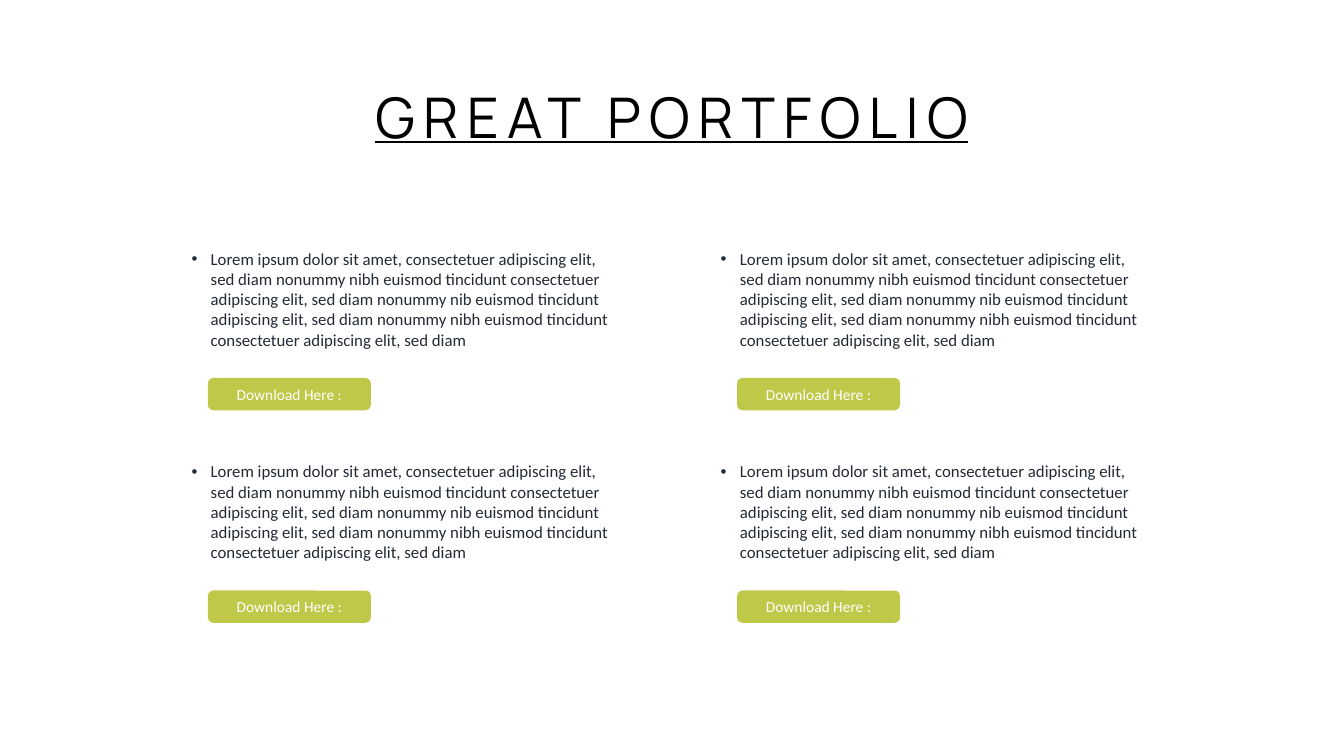
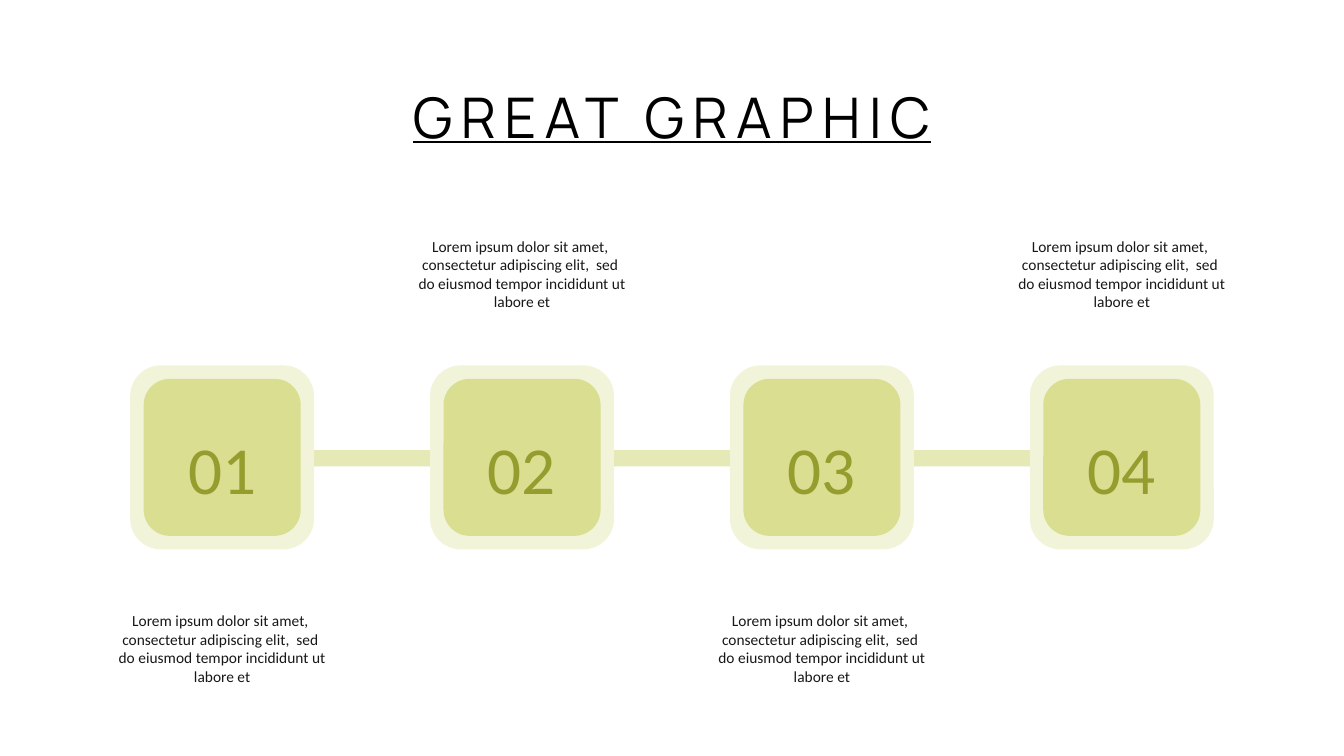
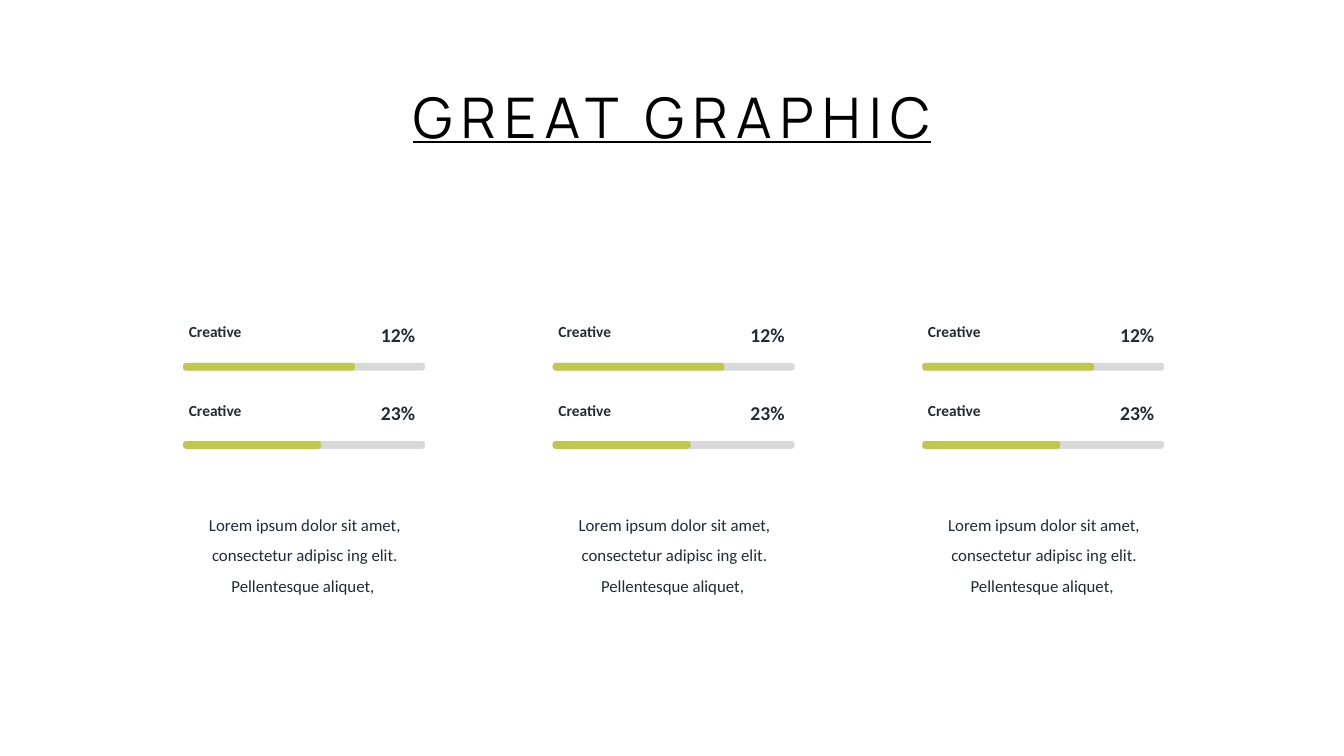
from lxml import etree
from pptx import Presentation
from pptx import util as u
from pptx.dml.color import RGBColor
from pptx.enum import shapes, text
from pptx.oxml import ns

BLACK = RGBColor(0x00, 0x00, 0x00)
WHITE = RGBColor(0xFF, 0xFF, 0xFF)
SLATE = RGBColor(0x22, 0x2A, 0x35)
INK = RGBColor(0x18, 0x17, 0x17)
LIME = RGBColor(0xBF, 0xC8, 0x48)
LIME_SOFT = RGBColor(0xD9, 0xDE, 0x91)
LIME_BAND = RGBColor(0xE5, 0xE9, 0xB6)
LIME_PALE = RGBColor(0xF2, 0xF4, 0xDA)
OLIVE = RGBColor(0x95, 0x9D, 0x2F)
GREY = RGBColor(0xD9, 0xD9, 0xD9)

LEFT, CENTER, RIGHT = text.PP_ALIGN.LEFT, text.PP_ALIGN.CENTER, text.PP_ALIGN.RIGHT
RECTANGLE = shapes.MSO_SHAPE.RECTANGLE
ROUNDED = shapes.MSO_SHAPE.ROUNDED_RECTANGLE
COMPARISON, TITLE_ONLY = 4, 5
COLUMNS, ROWS = 160, 90

PORTFOLIO_TEXT = (
    "Lorem ipsum dolor sit amet, consectetuer adipiscing elit, sed diam nonummy nibh "
    "euismod tincidunt consectetuer adipiscing elit, sed diam nonummy nib euismod "
    "tincidunt adipiscing elit, sed diam nonummy nibh euismod tincidunt consectetuer "
    "adipiscing elit, sed diam"
)
STEP_TEXT = (
    "Lorem ipsum dolor sit amet, \nconsectetur adipiscing elit,  sed \n"
    "do eiusmod tempor incididunt ut\nlabore et"
)
SKILL_TEXT = "Lorem ipsum dolor sit amet, consectetur adipisc ing elit. Pellentesque aliquet, "


class Deck:
    def __init__(self):
        self.presentation = Presentation()
        self.presentation.slide_width = u.Inches(13.33)
        self.presentation.slide_height = u.Inches(7.5)
        self.column = self.presentation.slide_width / COLUMNS
        self.row = self.presentation.slide_height / ROWS
        self.slide = None

    def box(self, left, top, width, height):
        return (round(left * self.column), round(top * self.row),
                round(width * self.column), round(height * self.row))

    def place(self, shape, area):
        shape.left, shape.top, shape.width, shape.height = self.box(*area)

    def style(self, shape, size, color, align=LEFT, bold=False, name="Calibri",
              spacing=1.0, anchor=text.MSO_ANCHOR.TOP, wrap=True, grow=True):
        frame = shape.text_frame
        frame.word_wrap = wrap
        frame.vertical_anchor = anchor
        if grow:
            frame.auto_size = text.MSO_AUTO_SIZE.SHAPE_TO_FIT_TEXT
        for paragraph in frame.paragraphs:
            paragraph.alignment = align
            paragraph.line_spacing = spacing
            paragraph.space_before = u.Pt(0)
            for run in paragraph.runs:
                run.font.name = name
                run.font.size = u.Pt(size)
                run.font.bold = bold
                run.font.color.rgb = color

    def new_slide(self, layout, words, title_width):
        self.slide = self.presentation.slides.add_slide(
            self.presentation.slide_layouts[layout])
        title = self.slide.shapes.title
        self.place(title, ((COLUMNS - title_width) / 2, 9.24, title_width, 9.24))
        paragraph = title.text_frame.paragraphs[0]
        for word in words:
            run = paragraph.add_run()
            run.text = word
            run.font.underline = True
            run.font._element.set("spc", "600")
        self.style(title, 40, BLACK, CENTER, name="Manrope", wrap=False)

    def bullet(self, index, content, *area):
        body = self.slide.placeholders[index]
        self.place(body, area)
        body.text_frame.text = content
        indent = u.Inches(0.19)
        for paragraph in body.text_frame.paragraphs:
            properties = paragraph._p.get_or_add_pPr()
            properties.set("marL", str(indent))
            properties.set("indent", str(-indent))
            etree.SubElement(properties, ns.qn("a:buFont")).set("typeface", "Arial")
            etree.SubElement(properties, ns.qn("a:buChar")).set("char", "•")
        self.style(body, 12, SLATE)

    def label(self, content, *area, **style):
        label = self.slide.shapes.add_textbox(*self.box(*area))
        label.text_frame.text = content
        self.style(label, **style)

    def block(self, kind, color, *area, radius=None):
        block = self.slide.shapes.add_shape(kind, *self.box(*area))
        block.shadow.inherit = False
        block.fill.solid()
        block.fill.fore_color.rgb = color
        block.line.fill.background()
        if radius is not None:
            block.adjustments[0] = radius
        return block

    def button(self, content, *area):
        button = self.block(ROUNDED, LIME, *area)
        button.text_frame.text = content
        self.style(button, 11, WHITE, CENTER, anchor=text.MSO_ANCHOR.MIDDLE, grow=False)

    def meter(self, left, top, name, value, share):
        width = 28.8
        self.label(name, left - 0.5, top, 17.2, 3.5, size=11, color=SLATE, bold=True)
        self.label(value, left + width - 8.4, top, 8.4, 4.1,
                   size=14, color=SLATE, align=RIGHT, bold=True)
        for color, part in ((GREY, 1), (LIME, share)):
            self.block(ROUNDED, color, left, top + 5.4, width * part, 0.92, radius=0.4)


def build_portfolio(deck):
    deck.new_slide(COMPARISON, ["GREAT PORTFOLIO"], 77.64)
    for index in range(4):
        column, row = divmod(index, 2)
        left, top = 21.6 + 63 * column, 29 + 25.3 * row
        deck.bullet(index + 1, PORTFOLIO_TEXT, left, top, 53.8, 13.3)
        deck.button("Download Here :", left + 3.15, top + 16, 19.4, 3.84)


def build_steps(deck):
    deck.new_slide(TITLE_ONLY, ["GREAT ", "GRAPHIC"], 69.24)
    deck.block(RECTANGLE, LIME_BAND, 17.2, 53.6, 125.8, 1.92)
    outer, inset, caption_width, number_width = 21.9, 1.6, 42.6, 15
    inner = outer - 2 * inset
    for step in range(4):
        left, top = 15.5 + 35.7 * step, 43.5
        center = left + outer / 2
        deck.block(ROUNDED, LIME_PALE, left, top, outer, outer)
        deck.block(ROUNDED, LIME_SOFT, left + inset, top + inset, inner, inner)
        deck.label(f"{step + 1:02d}", center - number_width / 2, 50.3, number_width, 11.3,
                   size=48, color=OLIVE, align=CENTER)
        deck.label(STEP_TEXT, center - caption_width / 2, 27.6 if step % 2 else 72.2,
                   caption_width, 10.1, size=11, color=INK, align=CENTER)


def build_skills(deck):
    deck.new_slide(TITLE_ONLY, ["GREAT ", "GRAPHIC"], 69.24)
    for group in range(3):
        left = 21.8 + 44 * group
        for row, (value, share) in enumerate((("12%", 0.71), ("23%", 0.57))):
            deck.meter(left, 37.8 + 9.3 * row, "Creative", value, share)
        deck.label(SKILL_TEXT, left - 2, 59.5, 33, 11.8,
                   size=12, color=SLATE, align=CENTER, spacing=1.5)


def main():
    deck = Deck()
    build_portfolio(deck)
    build_steps(deck)
    build_skills(deck)
    deck.presentation.save("out.pptx")


if __name__ == "__main__":
    main()
